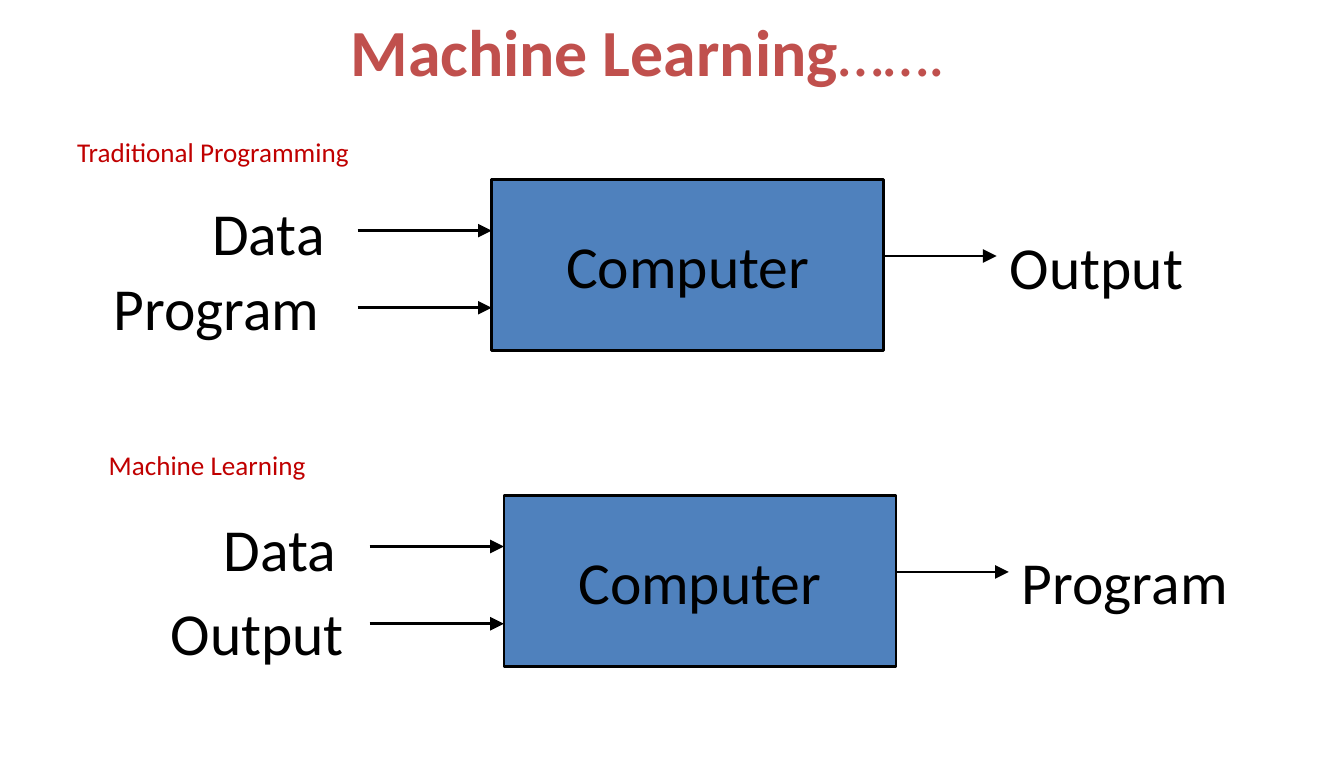
from pptx import Presentation
from pptx.dml.color import RGBColor
from pptx.enum.shapes import MSO_CONNECTOR, MSO_SHAPE
from pptx.enum.text import MSO_ANCHOR, PP_ALIGN
from pptx.oxml.ns import qn
from pptx.util import Emu, Pt
from lxml import etree

RECTANGLE = MSO_SHAPE.RECTANGLE
STRAIGHT = MSO_CONNECTOR.STRAIGHT
TOP, MIDDLE = MSO_ANCHOR.TOP, MSO_ANCHOR.MIDDLE
LEFT, CENTER = PP_ALIGN.LEFT, PP_ALIGN.CENTER

FONT = "Calibri"
BLACK, BLUE, RED, TITLE_RED = "000000", "4F81BD", "C00000", "C0504D"
LABEL_SIZE, HEADING_SIZE, TITLE_SIZE = 44, 20, 48.6
COMPUTER_WIDTH, COMPUTER_HEIGHT = 386, 168
INPUT_LENGTH, OUTPUT_LENGTH = 132, 111
LABEL_HEIGHT = 86


def px(length):
    """Turn px, at 96 to the inch, into EMU."""
    return Emu(length * 9525)


def color(value):
    """Turn a hex string into a colour."""
    return RGBColor.from_string(value)


def write(shape, runs, size, text_color, align=LEFT, anchor=TOP, insets=(13, 7)):
    """Fill a shape with one paragraph and return that paragraph."""
    frame = shape.text_frame
    frame.word_wrap = True
    frame.vertical_anchor = anchor
    frame.margin_left = frame.margin_right = px(insets[0])
    frame.margin_top = frame.margin_bottom = px(insets[1])
    paragraph = frame.paragraphs[0]
    paragraph.alignment = align
    paragraph.font.name = FONT
    paragraph.font.size = Pt(size)
    paragraph.font.color.rgb = color(text_color)
    for text in runs:
        paragraph.add_run().text = text
    return paragraph


def add_text(slide, box, runs, size, text_color, **layout):
    """Add a text box and return its paragraph."""
    shape = slide.shapes.add_textbox(*map(px, box))
    return write(shape, runs, size, text_color, **layout)


def add_arrow(slide, left, top, length):
    """Add a horizontal arrow that points right."""
    arrow = slide.shapes.add_connector(
        STRAIGHT, px(left), px(top), px(left + length), px(top))
    arrow.line.color.rgb = color(BLACK)
    arrow.line.width = Pt(2)
    properties = arrow._element.spPr
    etree.SubElement(properties.find(qn("a:ln")), qn("a:tailEnd"),
                     type="triangle", w="lg", len="lg")
    etree.SubElement(properties, qn("a:effectLst"))


def add_computer(slide, left, top):
    """Add the computer block."""
    computer = slide.shapes.add_shape(
        RECTANGLE, px(left), px(top), px(COMPUTER_WIDTH), px(COMPUTER_HEIGHT))
    computer.shadow.inherit = False
    computer.fill.solid()
    computer.fill.fore_color.rgb = color(BLUE)
    computer.line.color.rgb = color(BLACK)
    computer.line.width = Pt(2)
    write(computer, ["Computer"], LABEL_SIZE, BLACK, align=CENTER, anchor=MIDDLE)


def add_flow(slide, left, top, heading, heading_box, labels):
    """Add a heading and its flow from two inputs through a computer."""
    computer_left = left + INPUT_LENGTH
    output_left = computer_left + COMPUTER_WIDTH
    add_text(slide, heading_box, [heading], HEADING_SIZE, RED)
    add_computer(slide, computer_left, top)
    for arrow_top in (50, 126):
        add_arrow(slide, left, top + arrow_top, INPUT_LENGTH)
    add_arrow(slide, output_left, top + 75, OUTPUT_LENGTH)
    for text, label_left, label_top, width in labels:
        box = (left + label_left, top + label_top, width, LABEL_HEIGHT)
        add_text(slide, box, [text], LABEL_SIZE, BLACK)


def add_title(slide, box):
    """Add the slide title with bold words and plain dots."""
    paragraph = add_text(slide, box, ["Machine Learning", "……."], TITLE_SIZE,
                         TITLE_RED, align=CENTER, anchor=MIDDLE, insets=(12, 6))
    paragraph.runs[0].font.bold = True


def main():
    """Build and save the slide."""
    presentation = Presentation()
    presentation.slide_width, presentation.slide_height = px(1323), px(756)
    slide = presentation.slides.add_slide(presentation.slide_layouts[6])
    output_label = INPUT_LENGTH + COMPUTER_WIDTH + OUTPUT_LENGTH
    add_title(slide, (32, 17, 1212, 64))
    add_flow(slide, 352, 177, "Traditional Programming", (63, 126, 418, 46), [
        ("Data", -156, 9, 152),
        ("Program", -253, 83, 254),
        ("Output", output_label, 42, 204),
    ])
    add_flow(slide, 364, 488, "Machine Learning", (94, 434, 310, 46), [
        ("Data", -157, 9, 152),
        ("Output", -209, 92, 204),
        ("Program", output_label, 41, 254),
    ])
    presentation.save("out.pptx")


if __name__ == "__main__":
    main()
